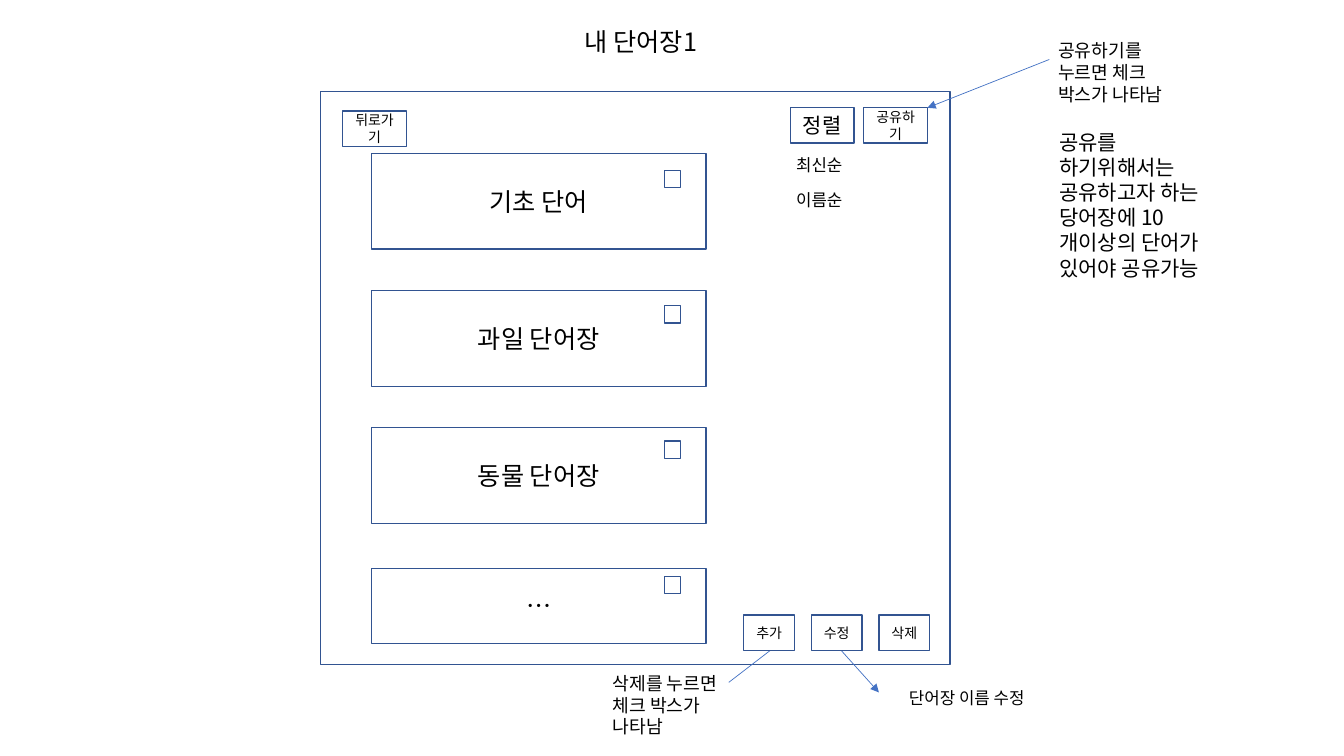
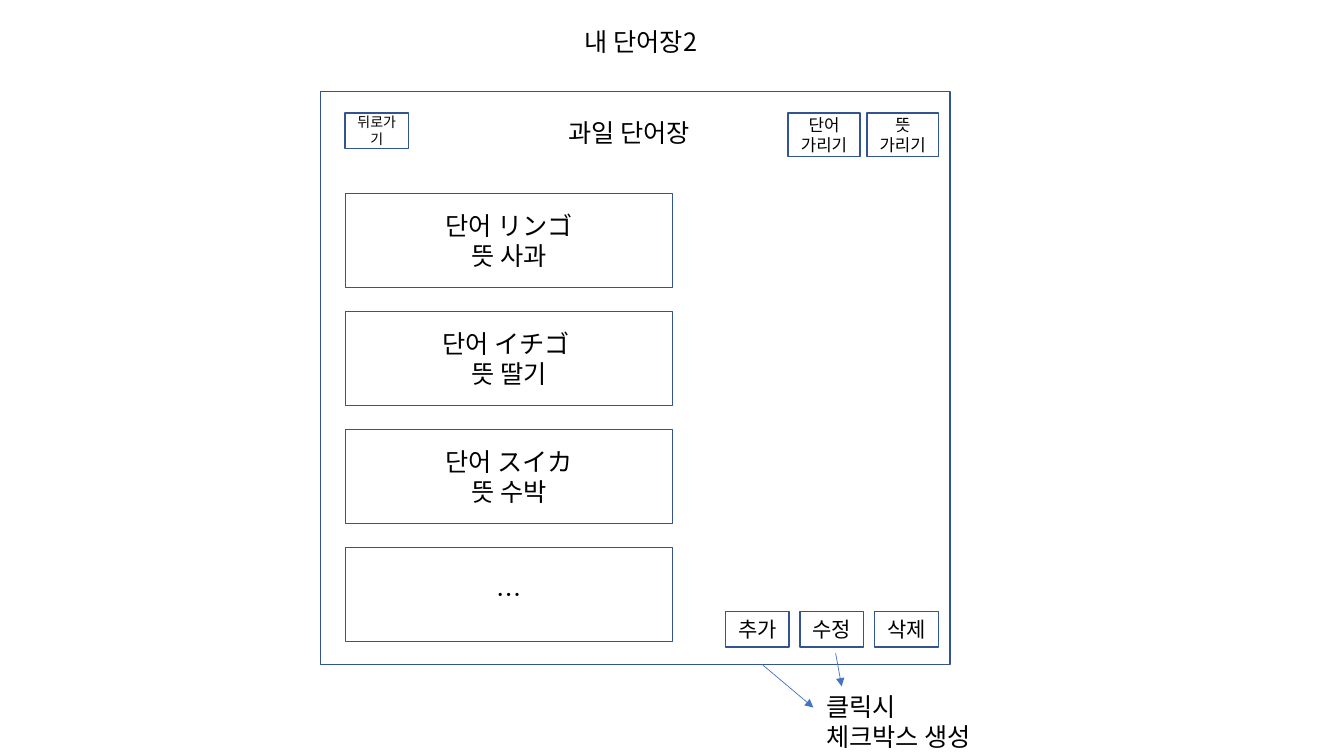
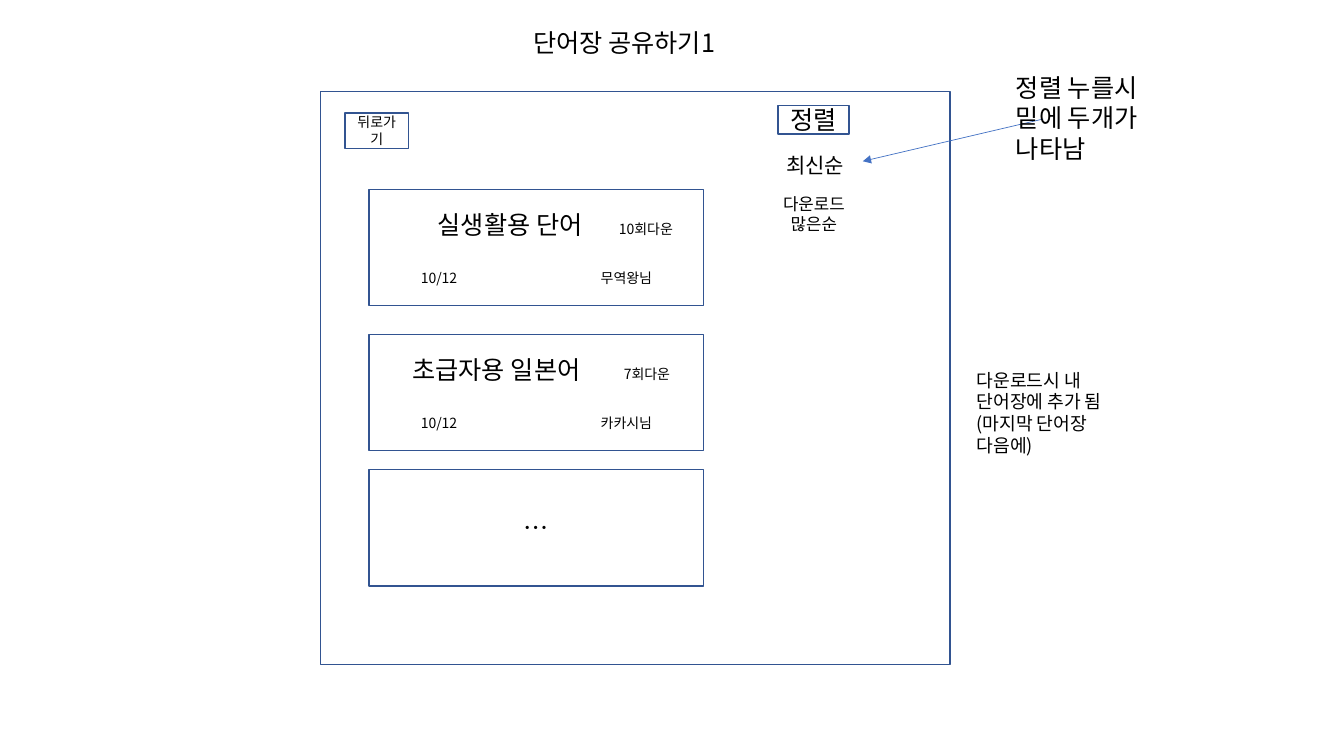
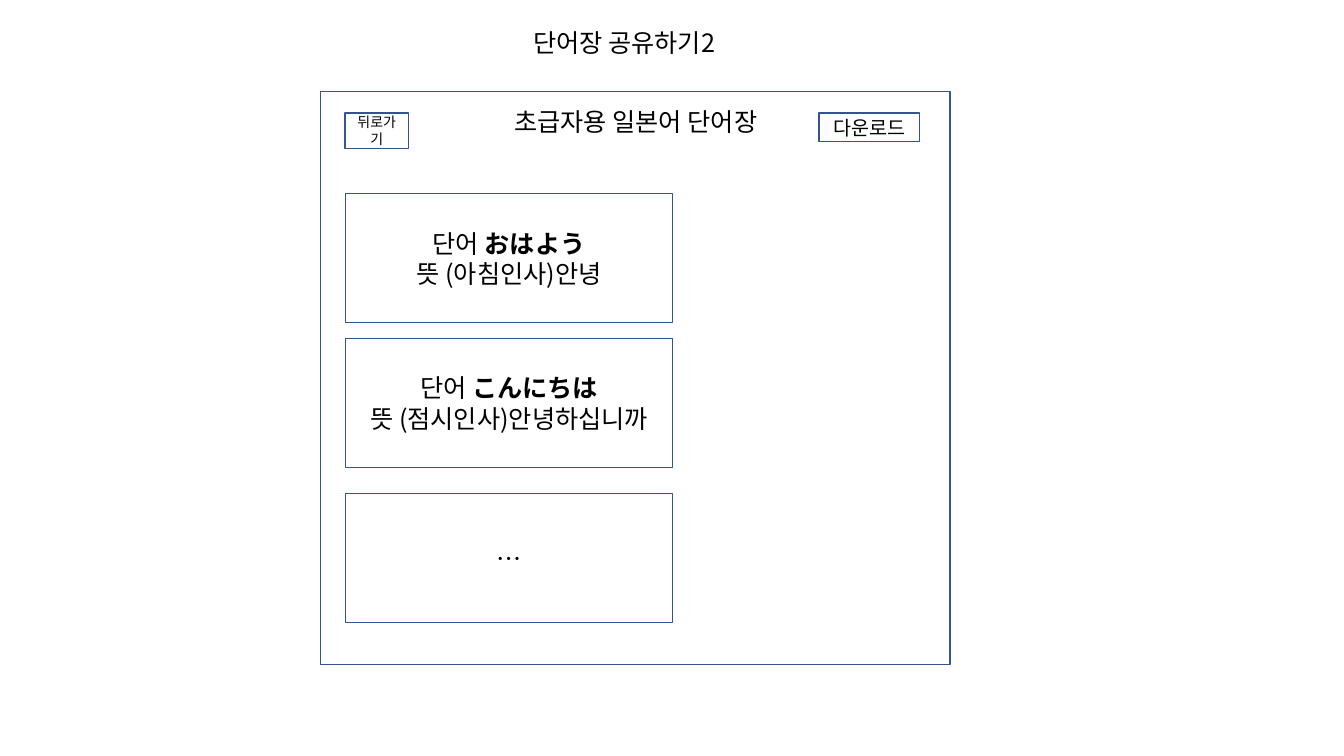
from collections import namedtuple

from lxml.etree import SubElement
from pptx import Presentation
from pptx.dml.color import RGBColor
from pptx.enum.shapes import MSO_CONNECTOR, MSO_SHAPE
from pptx.enum.text import MSO_ANCHOR as ANCHOR, MSO_AUTO_SIZE as AUTO, PP_ALIGN as ALIGN
from pptx.oxml.ns import qn
from pptx.util import Pt

FONT = "Noto Sans CJK KR"
WHITE = RGBColor(0xFF, 0xFF, 0xFF)
BLACK = RGBColor(0, 0, 0)
OUTLINE = RGBColor(0x32, 0x54, 0x91)
ARROW = RGBColor(0x44, 0x72, 0xC4)
TITLE_ONLY = 5
LINE_HEIGHT = 1.2

Run = namedtuple("Run", "text size bold", defaults=(18, False))


def write(tf, paragraphs, size=18, align=ALIGN.LEFT, anchor=ANCHOR.TOP):
    """Fill a text frame; each paragraph is a string or a list of Runs."""
    tf.word_wrap = True
    tf.auto_size = AUTO.NONE
    tf.vertical_anchor = anchor
    for i, content in enumerate(paragraphs):
        runs = [Run(content, size)] if isinstance(content, str) else content
        p = tf.paragraphs[0] if i == 0 else tf.add_paragraph()
        p.alignment = align
        p.line_spacing = Pt(LINE_HEIGHT * max(run.size for run in runs))
        for run in runs:
            r = p.add_run()
            r.text = run.text
            r.font.size = Pt(run.size)
            r.font.bold = run.bold
            r.font.color.rgb = BLACK
            r.font.name = FONT
            SubElement(r.font._element, qn("a:ea"), typeface=FONT)


def add_box(s, x, y, w, h, *paragraphs, size=18, align=ALIGN.CENTER):
    """Add a white outlined rectangle with middle-anchored text."""
    sp = s.shapes.add_shape(MSO_SHAPE.RECTANGLE, Pt(x), Pt(y), Pt(w), Pt(h))
    sp.shadow.inherit = False
    sp.fill.solid()
    sp.fill.fore_color.rgb = WHITE
    sp.line.color.rgb = OUTLINE
    sp.line.width = Pt(1)
    write(sp.text_frame, paragraphs, size, align, ANCHOR.MIDDLE)
    return sp


def add_label(s, x, y, w, h, text, size=18, align=ALIGN.LEFT):
    """Add a plain wrapped text box."""
    sp = s.shapes.add_textbox(Pt(x), Pt(y), Pt(w), Pt(h))
    write(sp.text_frame, [text], size, align)


def add_arrow(s, x1, y1, x2, y2):
    """Add a thin line with an arrowhead at its end."""
    line = s.shapes.add_connector(MSO_CONNECTOR.STRAIGHT, Pt(x1), Pt(y1), Pt(x2), Pt(y2))
    line.line.color.rgb = ARROW
    line.line.width = Pt(0.5)
    SubElement(line.line._get_or_add_ln(), qn("a:tailEnd"), type="triangle")
    SubElement(line._element.spPr, qn("a:effectLst"))


def add_button_row(s, x, y, w, h, pitch, texts, size):
    """Add equally spaced buttons from left to right."""
    for i, text in enumerate(texts):
        add_box(s, x + i * pitch, y, w, h, text, size=size)


def add_shared_card(s, y, title, title_tab, downloads, downloads_tab, date, author):
    """Add a shared-list card whose details sit on tab stops."""
    sp = add_box(s, 263.5, y, 239, 83,
                 [Run(f"\t{title}\t"), Run(downloads, 10)],
                 [Run(f"\t{date}\t{author}", 10)], align=ALIGN.LEFT)
    heading, details = sp.text_frame.paragraphs
    details.space_before = Pt(21.6)
    for p, stops in ((heading, (title_tab, downloads_tab)), (details, (30, 158.5))):
        tabs = SubElement(p._p.get_or_add_pPr(), qn("a:tabLst"))
        for stop in stops:
            SubElement(tabs, qn("a:tab"), pos=str(int(Pt(stop))), algn="l")


def add_screen(prs, title, x, y, w, back=(246.3, 80.6)):
    """Start a slide with its title, app window and back button."""
    s = prs.slides.add_slide(prs.slide_layouts[TITLE_ONLY])
    sp = s.shapes.title
    sp.left, sp.top, sp.width, sp.height = Pt(x), Pt(y), Pt(w), Pt(28.8)
    write(sp.text_frame, [title])
    add_box(s, 229, 65.5, 449.5, 409)
    add_box(s, *back, 45.5, 25.3, "뒤로가기", size=10)
    return s


def build_my_lists(prs):
    """Build the overview of the user's own word lists."""
    s = add_screen(prs, "내 단어장1", 410.4, 15.1, 181.4, back=(244.8, 79.2))
    for i, name in enumerate(("기초 단어", "과일 단어장", "동물 단어장")):
        add_box(s, 265.3, 109.5 + 98 * i, 239, 68.5, name)
    add_box(s, 265.3, 406, 239, 53.5, "…")
    for i in range(4):
        add_box(s, 474.5, 121.7 + 96.7 * i, 11.5, 12.3)

    add_box(s, 564.5, 77, 45.5, 25.3, "정렬", size=15)
    add_box(s, 617, 77, 45.5, 25.3, "공유하기", size=10)
    add_label(s, 561.6, 107.3, 60.5, 21.6, "최신순", 12)
    add_label(s, 561.6, 131.8, 60.5, 21.6, "이름순", 12)

    add_arrow(s, 749.5, 42.5, 662.4, 77)
    add_arrow(s, 520.6, 487.4, 561.6, 455.8)
    add_button_row(s, 531.2, 439.2, 36.3, 25.3, 48.3, ("추가", "수정", "삭제"), 10)
    add_arrow(s, 601.2, 465, 627.8, 494.6)

    add_label(s, 748.8, 24.5, 110.2, 54.7, "공유하기를 누르면 체크 박스가 나타남", 13)
    add_label(s, 749.5, 88.6, 119.5, 116.6,
              "공유를 하기위해서는 공유하고자 하는 당어장에 10개이상의 단어가 있어야 공유가능", 15)
    add_label(s, 430.6, 476.6, 110.2, 54.7, "삭제를 누르면 체크 박스가 나타남", 13)
    add_label(s, 642.2, 487.4, 107.3, 21.6, "단어장 이름 수정", 12)


def build_my_words(prs):
    """Build the screen with the words of one own list."""
    s = add_screen(prs, "내 단어장2", 410.4, 15.1, 181.4)
    add_label(s, 398.9, 80.6, 137.5, 51, "과일 단어장")
    cards = (("단어 リンゴ", "뜻 사과"), ("단어 イチゴ\u00a0", "뜻 딸기"),
             ("단어 スイカ", "뜻 수박"), ("…",))
    for i, lines in enumerate(cards):
        add_box(s, 247, 138.4 + 84.3 * i, 233.3, 67, *lines)
    add_button_row(s, 563, 80.8, 51.3, 31, 56.2, ("단어 가리기", "뜻 가리기"), 12)
    add_button_row(s, 518.2, 437, 45.5, 25.3, 53.3, ("추가", "수정", "삭제"), 15)
    add_arrow(s, 544.3, 474.5, 581, 505.4)
    add_arrow(s, 596.9, 466.6, 601.2, 490.3)
    add_label(s, 583.2, 490.3, 128.9, 51, "클릭시 체크박스 생성")


def build_shared_lists(prs):
    """Build the overview of the shared word lists."""
    s = add_screen(prs, "단어장 공유하기1", 373.7, 15.8, 159.8)
    add_shared_card(s, 135.4, "실생활용 단어", 42, "10회다운", 171.5, "10/12", "무역왕님")
    add_shared_card(s, 239, "초급자용 일본어", 24, "7회다운", 175, "10/12", "카카시님")
    add_box(s, 263.5, 335.5, 239, 83, "…")
    add_box(s, 555.8, 75.4, 50.8, 20.2, "정렬")
    add_label(s, 554.4, 105.1, 69.8, 25.2, "최신순", 15)
    add_label(s, 546.5, 134.6, 69.8, 36, "다운로드 많은순", 12, ALIGN.CENTER)
    add_arrow(s, 745.2, 85, 616.3, 115.2)
    add_label(s, 718.6, 48.2, 123.8, 72.7, "정렬 누를시 밑에 두개가 나타남")
    add_label(s, 690.5, 260, 128.9, 70,
              "다운로드시 내 단어장에 추가 됨(마지막 단어장 다음에)", 13)


def build_shared_words(prs):
    """Build the screen with the words of one shared list."""
    s = add_screen(prs, "단어장 공유하기2", 373.7, 15.8, 159.8)
    add_label(s, 344.2, 72.7, 219.6, 72.7, "초급자용 일본어 단어장", align=ALIGN.CENTER)
    add_box(s, 585, 80.8, 71.8, 20.2, "다운로드", size=14)
    words = ((138.4, "おはよう", "뜻 (아침인사)안녕"),
             (241.8, "こんにちは", "뜻 (점시인사)안녕하십니까"))
    for y, word, meaning in words:
        add_box(s, 247, y, 233.3, 92, [Run("단어 "), Run(word, bold=True)], meaning)
    add_box(s, 247, 352.7, 233.3, 92, "…")


def main():
    """Build the four screens and save the deck."""
    prs = Presentation()
    prs.slide_width, prs.slide_height = Pt(960), Pt(540)
    build_my_lists(prs)
    build_my_words(prs)
    build_shared_lists(prs)
    build_shared_words(prs)
    prs.save("out.pptx")


main()
